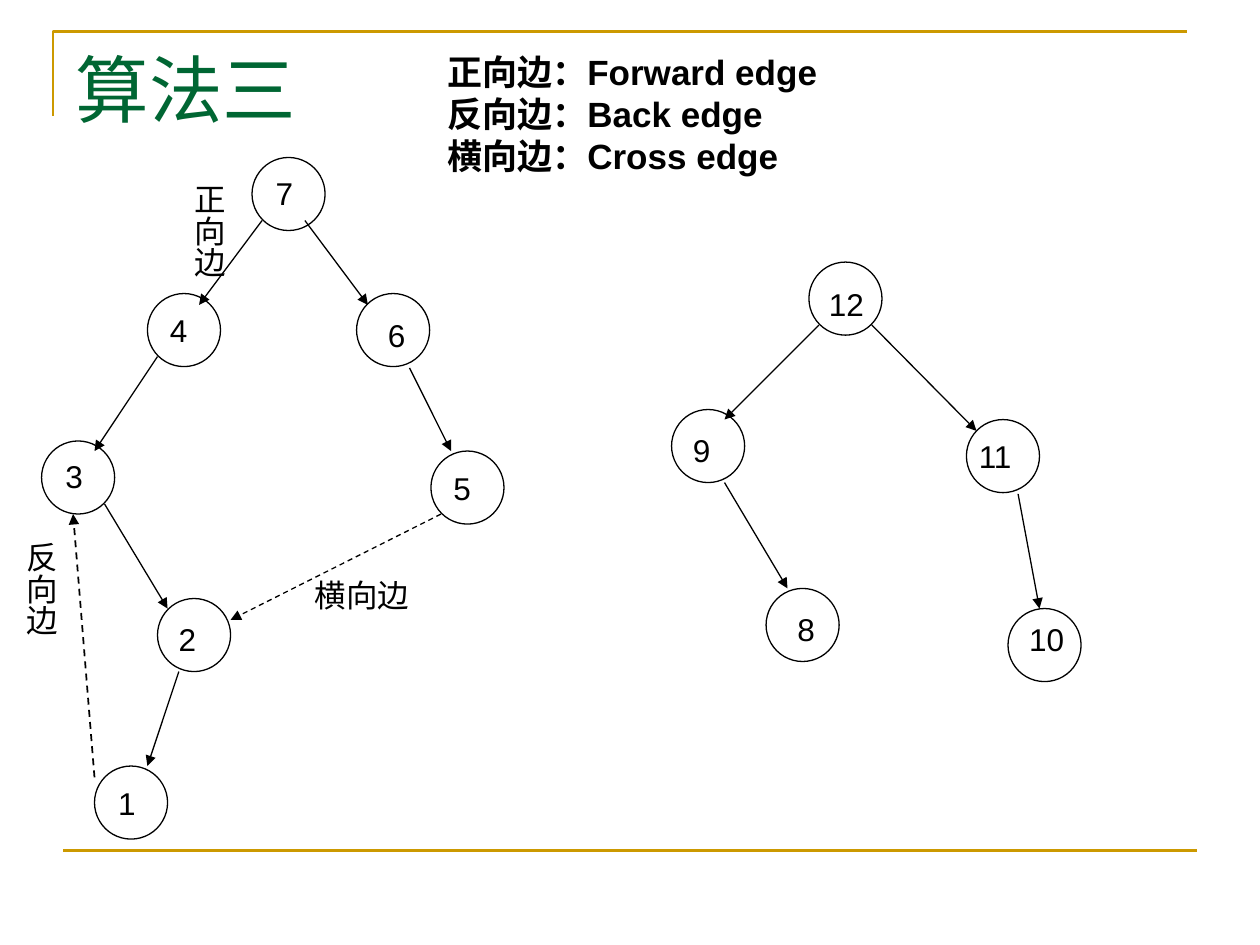
"""Build a slide of depth-first search trees with forward, back and cross edges."""
from lxml import etree
from pptx import Presentation
from pptx.dml.color import RGBColor
from pptx.enum.dml import MSO_LINE
from pptx.enum.shapes import MSO_CONNECTOR, MSO_SHAPE
from pptx.enum.text import MSO_ANCHOR, MSO_AUTO_SIZE, PP_ALIGN
from pptx.oxml.ns import qn
from pptx.util import Inches, Pt

BLACK = RGBColor(0x00, 0x00, 0x00)
WHITE = RGBColor(0xFF, 0xFF, 0xFF)
GREEN = RGBColor(0x00, 0x66, 0x33)
GOLD = RGBColor(0xCC, 0x99, 0x00)
STRAIGHT = MSO_CONNECTOR.STRAIGHT
ELLIPSE = MSO_SHAPE.OVAL
DASH = MSO_LINE.DASH
LEFT = PP_ALIGN.LEFT
TOP = MSO_ANCHOR.TOP
NO_AUTOFIT = MSO_AUTO_SIZE.NONE
GROW = MSO_AUTO_SIZE.SHAPE_TO_FIT_TEXT
TITLE_ONLY = 5
DIAMETER = 0.58

# number: (circle left, circle top, label left, label top)
NODES = {
    1: (0.75, 6.08, 0.84, 6.17),
    2: (1.25, 4.75, 1.32, 4.87),
    3: (0.33, 3.5, 0.42, 3.58),
    4: (1.17, 2.33, 1.25, 2.42),
    5: (3.42, 3.58, 3.5, 3.67),
    6: (2.83, 2.33, 2.98, 2.46),
    7: (2, 1.25, 2.09, 1.33),
    8: (6.08, 4.67, 6.23, 4.79),
    9: (5.33, 3.25, 5.4, 3.37),
    10: (8, 4.83, 8.07, 4.87),
    11: (7.67, 3.33, 7.67, 3.42),
    12: (6.42, 2.08, 6.48, 2.21),
}
TREE_EDGES = [
    ((1.25, 2.83), (0.75, 3.58)),
    ((2.08, 1.75), (1.58, 2.42)),
    ((0.83, 4), (1.33, 4.83)),
    ((1.42, 5.33), (1.17, 6.08)),
    ((2.42, 1.75), (2.92, 2.42)),
    ((3.25, 2.92), (3.58, 3.58)),
    ((6.5, 2.58), (5.75, 3.33)),
    ((5.75, 3.83), (6.25, 4.67)),
    ((6.92, 2.58), (7.75, 3.42)),
    ((8.08, 3.92), (8.25, 4.83)),
]
LEGEND = ["正向边：Forward edge", "反向边：Back edge", "横向边：Cross edge"]


def write_text(frame, lines, size=18, font="Arial", color=BLACK, bold=False):
    """Fill a text frame with one formatted paragraph per line."""
    for index, line in enumerate(lines):
        paragraph = frame.add_paragraph() if index else frame.paragraphs[0]
        paragraph.alignment = LEFT
        run = paragraph.add_run()
        run.text = line
        run.font.size = Pt(size)
        run.font.name = font
        run.font.bold = bold
        run.font.color.rgb = color


class SlideBuilder:
    """Hold the line style and the current slide."""

    def __init__(self, slide, line_color=BLACK, line_width=0.75):
        self.slide = slide
        self.shapes = slide.shapes
        self.line_color = line_color
        self.line_width = line_width

    def style_line(self, line, color=None, width=None):
        """Apply the given line style or the default one."""
        line.color.rgb = color or self.line_color
        line.width = Pt(width or self.line_width)

    def title(self, text, left, top, width, height):
        """Place and format the title placeholder."""
        shape = self.shapes.title
        shape.left, shape.top = Inches(left), Inches(top)
        shape.width, shape.height = Inches(width), Inches(height)
        frame = shape.text_frame
        frame.auto_size = NO_AUTOFIT
        frame.vertical_anchor = TOP
        write_text(frame, [text], size=42, font="Times New Roman", color=GREEN)

    def outline(self, points, **style):
        """Draw an open polyline."""
        start, *rest = [(Inches(x), Inches(y)) for x, y in points]
        builder = self.shapes.build_freeform(*start)
        builder.add_line_segments(rest, close=False)
        shape = builder.convert_to_shape()
        shape.shadow.inherit = False
        shape.fill.background()
        self.style_line(shape.line, **style)

    def line(self, start, end, arrow=False, dash=None, **style):
        """Draw a straight line, with an arrowhead at its end if asked."""
        points = [Inches(value) for value in (*start, *end)]
        connector = self.shapes.add_connector(STRAIGHT, *points)
        self.style_line(connector.line, **style)
        if dash:
            connector.line.dash_style = dash
        if arrow:
            outline = connector.line._get_or_add_ln()
            etree.SubElement(outline, qn("a:tailEnd"), type="triangle")
        etree.SubElement(connector._element.spPr, qn("a:effectLst"))

    def circle(self, left, top):
        """Draw the circle of a tree node."""
        size = Inches(DIAMETER)
        shape = self.shapes.add_shape(ELLIPSE, Inches(left), Inches(top), size, size)
        shape.shadow.inherit = False
        shape.fill.solid()
        shape.fill.fore_color.rgb = WHITE
        self.style_line(shape.line)

    def label(self, lines, left, top, width, height=0.4, vertical=False, **style):
        """Add an unwrapped text box, set vertically if asked."""
        box = self.shapes.add_textbox(*map(Inches, (left, top, width, height)))
        frame = box.text_frame
        frame.word_wrap = False
        frame.auto_size = GROW
        if vertical:
            frame.margin_left = frame.margin_right = Inches(0.05)
            frame.margin_top = frame.margin_bottom = Inches(0.1)
            frame._txBody.bodyPr.set("vert", "eaVert")
        write_text(frame, lines, **style)


def main():
    """Draw the frame, the two trees and the edge names."""
    presentation = Presentation()
    presentation.slide_width, presentation.slide_height = Inches(10), Inches(7.5)
    slide = presentation.slides.add_slide(presentation.slide_layouts[TITLE_ONLY])
    builder = SlideBuilder(slide)

    builder.outline([(0.42, 0.92), (0.42, 0.25), (9.42, 0.25)], color=GOLD, width=1.5)
    builder.line((0.5, 6.75), (9.5, 6.75), color=GOLD, width=1.5)
    builder.title("算法三", 0.5, 0.3, 9, 1.25)

    for left, top, _, _ in NODES.values():
        builder.circle(left, top)
    for start, end in TREE_EDGES:
        builder.line(start, end, arrow=True)
    for number, (_, _, left, top) in NODES.items():
        builder.label([str(number)], left, top, 0.34 if number < 10 else 0.48)

    builder.line((0.75, 6.17), (0.58, 4.08), arrow=True, dash=DASH, width=1)
    builder.line((3.5, 4.08), (1.83, 4.92), arrow=True, dash=DASH)
    builder.label(["正向边"], 1.36, 1.36, 0.5, 0.85, vertical=True)
    builder.label(["反向边"], 0.03, 4.2, 0.5, 0.85, vertical=True)
    builder.label(["横向边"], 2.4, 4.52, 0.95)
    builder.label(LEGEND, 3.45, 0.35, 3.2, 1.1, size=20, bold=True)

    presentation.save("out.pptx")


if __name__ == "__main__":
    main()
